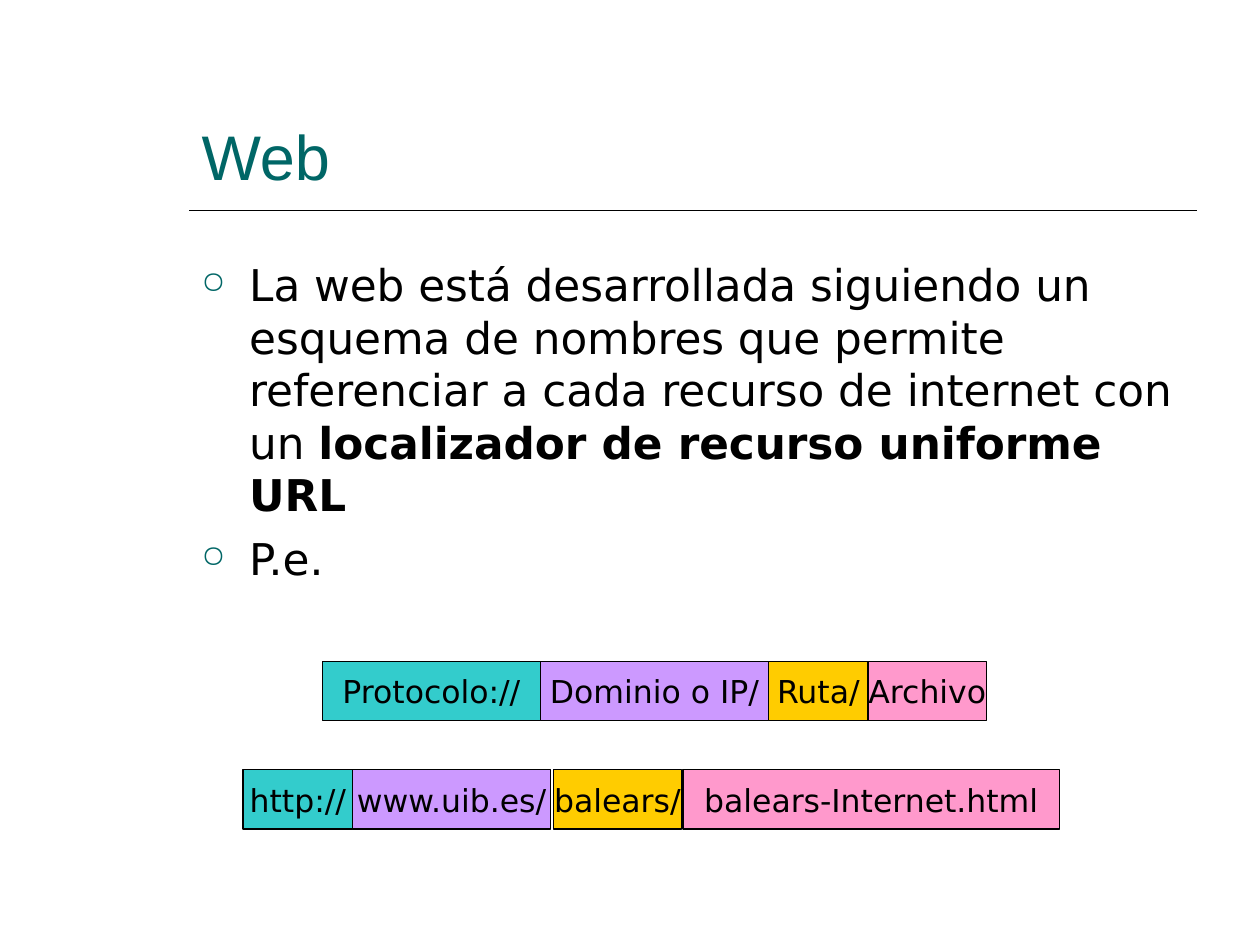
import dataclasses

import lxml.etree
import pptx
import pptx.dml.color
import pptx.enum.shapes
import pptx.enum.text
import pptx.oxml.ns
import pptx.util

Inches = pptx.util.Inches
Pt = pptx.util.Pt


@dataclasses.dataclass
class Theme:
    title_font: str = "Arial"
    body_font: str = "DejaVu Sans"
    title_size: float = 36
    body_size: float = 25
    label_size: float = 18
    accent: str = "006666"
    ink: str = "000000"
    url_colors: tuple = ("33CCCC", "CC99FF", "FFCC00", "FF99CC")


def rgb(value):
    return pptx.dml.color.RGBColor.from_string(value)


class SlideBuilder:
    def __init__(self, page, theme):
        self.page = page
        self.theme = theme

    def style(self, span, font, size, color, bold=False):
        span.font.name = font
        span.font.size = Pt(size)
        span.font.bold = bold
        span.font.color.rgb = rgb(color)

    def title(self, text, left, top, width, height):
        box = self.page.shapes.title
        box.left, box.top = Inches(left), Inches(top)
        box.width, box.height = Inches(width), Inches(height)
        frame = box.text_frame
        frame.text = text
        frame.auto_size = pptx.enum.text.MSO_AUTO_SIZE.NONE
        frame.vertical_anchor = pptx.enum.text.MSO_ANCHOR.BOTTOM
        para = frame.paragraphs[0]
        para.alignment = pptx.enum.text.PP_ALIGN.LEFT
        self.style(para.runs[0], self.theme.title_font, self.theme.title_size, self.theme.accent)

    def rule(self, left, top, width):
        line = self.page.shapes.add_connector(
            pptx.enum.shapes.MSO_CONNECTOR.STRAIGHT,
            Inches(left), Inches(top), Inches(left + width), Inches(top))
        line.line.color.rgb = rgb(self.theme.ink)
        line.line.width = Pt(1)
        lxml.etree.SubElement(line._element.spPr, pptx.oxml.ns.qn("a:effectLst"))

    def add_bullet(self, para):
        properties = para._p.get_or_add_pPr()
        properties.set("marL", str(Inches(0.38)))
        properties.set("indent", str(-Inches(0.38)))
        qn = pptx.oxml.ns.qn
        color = lxml.etree.SubElement(properties, qn("a:buClr"))
        lxml.etree.SubElement(color, qn("a:srgbClr"), val=self.theme.accent)
        lxml.etree.SubElement(properties, qn("a:buSzPct"), val="70000")
        lxml.etree.SubElement(properties, qn("a:buChar"), char="○")

    def bullets(self, items, left, top, width, height):
        box = self.page.shapes.add_textbox(Inches(left), Inches(top), Inches(width), Inches(height))
        frame = box.text_frame
        frame.word_wrap = True
        for index, item in enumerate(items):
            para = frame.add_paragraph() if index else frame.paragraphs[0]
            self.add_bullet(para)
            para.space_before = Pt(6.2 if index else 0)
            for text, bold in item:
                span = para.add_run()
                span.text = text
                self.style(span, self.theme.body_font, self.theme.body_size, self.theme.ink, bold)

    def url_row(self, top, cells):
        group = self.page.shapes.add_group_shape()
        for (text, left, width), color in zip(cells, self.theme.url_colors):
            box = group.shapes.add_shape(
                pptx.enum.shapes.MSO_SHAPE.RECTANGLE,
                Inches(left), Inches(top), Inches(width), Inches(0.47))
            box.shadow.inherit = False
            box.fill.solid()
            box.fill.fore_color.rgb = rgb(color)
            box.line.color.rgb = rgb(self.theme.ink)
            box.line.width = Pt(0.75)
            frame = box.text_frame
            frame.text = text
            frame.word_wrap = False
            frame.vertical_anchor = pptx.enum.text.MSO_ANCHOR.MIDDLE
            para = frame.paragraphs[0]
            para.alignment = pptx.enum.text.PP_ALIGN.CENTER
            self.style(para.runs[0], self.theme.body_font, self.theme.label_size, self.theme.ink)


def main():
    deck = pptx.Presentation()
    deck.slide_width, deck.slide_height = Inches(10), Inches(7.5)
    page = deck.slides.add_slide(deck.slide_layouts.get_by_name("Title Only"))
    builder = SlideBuilder(page, Theme())

    builder.rule(1.5, 1.67, 8)
    builder.title("Web", 1.5, 0.33, 8, 1.25)
    builder.bullets([
        [("La web está desarrollada siguiendo un esquema de nombres que permite "
          "referenciar a cada recurso de internet con un ", False),
         ("localizador de recurso uniforme URL", True)],
        [("P.e.", False)],
    ], 1.5, 2, 8, 2.78)
    builder.url_row(5.25, [
        ("Protocolo://", 2.56, 1.73),
        ("Dominio o IP/", 4.29, 1.81),
        ("Ruta/", 6.1, 0.79),
        ("Archivo", 6.89, 0.94),
    ])
    builder.url_row(6.11, [
        ("http://", 1.93, 0.87),
        ("www.uib.es/", 2.8, 1.57),
        ("balears/", 4.39, 1.02),
        ("balears-Internet.html", 5.42, 2.99),
    ])
    deck.save("out.pptx")


if __name__ == "__main__":
    main()
